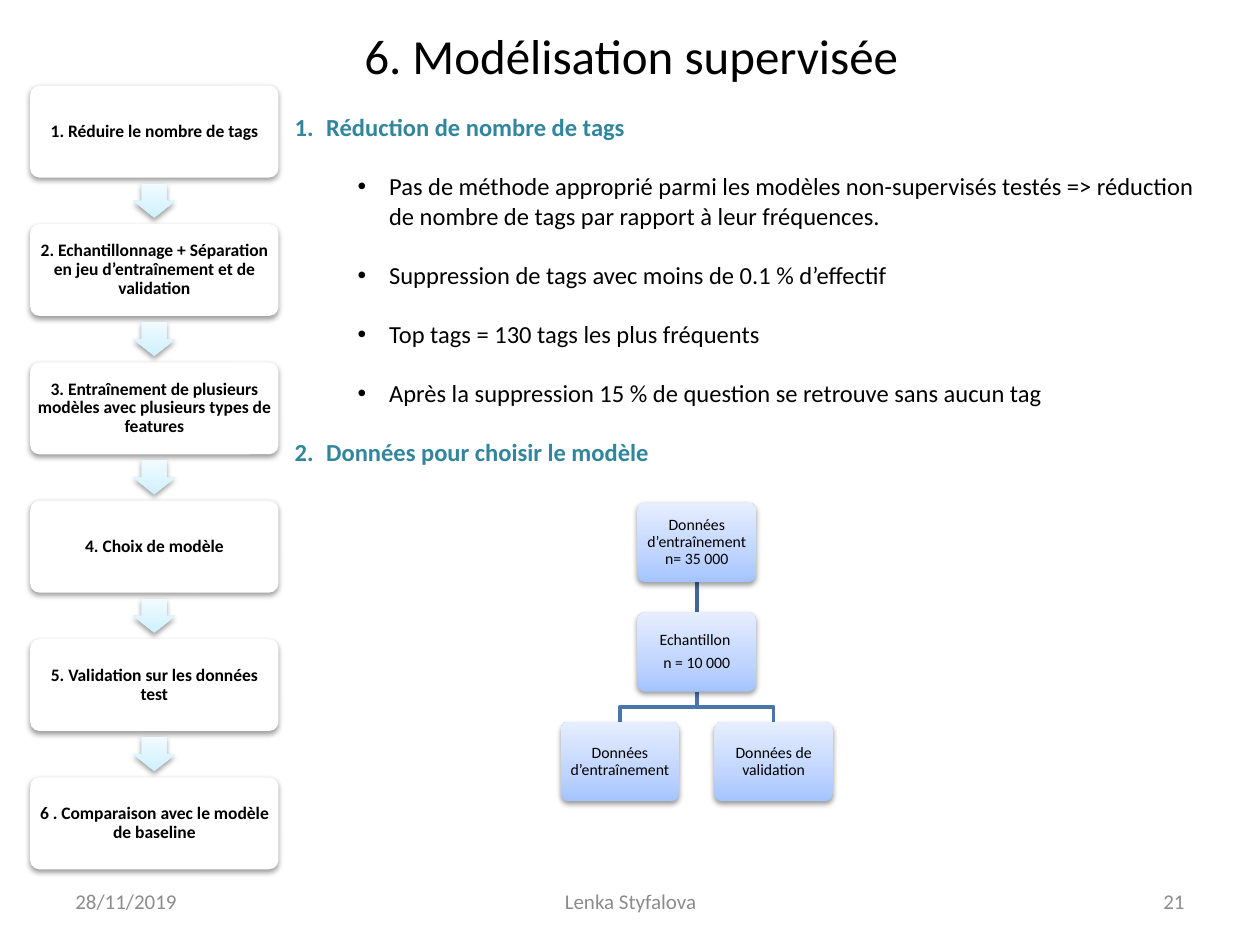
"""Build the supervised modelling slide: process column, bullet list and data tree."""
from copy import deepcopy

from lxml import etree
from pptx import Presentation
from pptx import util as u
from pptx.dml.color import RGBColor
from pptx.enum import shapes, text
from pptx.oxml.ns import qn

BLACK = RGBColor(0x00, 0x00, 0x00)
WHITE = RGBColor(0xFF, 0xFF, 0xFF)
GREY = RGBColor(0x8C, 0x8C, 0x8C)
TEAL = RGBColor(0x31, 0x85, 0x9C)
TRUNK = RGBColor(0x3F, 0x67, 0x97)
BRANCH = RGBColor(0x48, 0x75, 0xAC)
CYANS = RGBColor(0xCE, 0xF0, 0xFF), RGBColor(0xDB, 0xF4, 0xFF), RGBColor(0xF1, 0xFB, 0xFF)
BLUES = RGBColor(0xA4, 0xC4, 0xFF), RGBColor(0xBF, 0xD4, 0xFF), RGBColor(0xE6, 0xEE, 0xFF)

LEFT, CENTER, RIGHT = text.PP_ALIGN.LEFT, text.PP_ALIGN.CENTER, text.PP_ALIGN.RIGHT
MIDDLE, TOP = text.MSO_ANCHOR.MIDDLE, text.MSO_ANCHOR.TOP

STEPS = [
    "1. Réduire le nombre de tags",
    "2. Echantillonnage + Séparation en jeu d’entraînement et de validation",
    "3. Entraînement de plusieurs modèles avec plusieurs types de features",
    "4. Choix de modèle",
    "5. Validation sur les données test",
    "6 . Comparaison avec le modèle de baseline",
]
STEP_X, STEP_Y, STEP_W, STEP_H = 0.24, 0.68, 1.97, 0.73
STEP_PITCH = (6.17 - STEP_Y) / (len(STEPS) - 1)
ARROW_W, ARROW_H = 0.33, 0.27

POINTS = [
    ("Réduction de nombre de tags", 1),
    ("Pas de méthode approprié parmi les modèles non-supervisés testés => réduction "
     "de nombre de tags par rapport à leur fréquences.", None),
    ("Suppression de tags avec moins de 0.1 % d’effectif", None),
    ("Top tags = 130 tags les plus fréquents", None),
    ("Après la suppression 15 % de question se retrouve sans aucun tag", None),
    ("Données pour choisir le modèle", 2),
]

NODES = [
    (0, 0, ["Données d’entraînement n= 35 000"]),
    (0, 1, ["Echantillon ", "n = 10 000"]),
    (-1, 2, ["Données d’entraînement"]),
    (1, 2, ["Données de validation"]),
]
NODE_W, NODE_H = 0.94, 0.63
TREE_X, TREE_Y, TREE_DX, TREE_DY = 5.53, 3.99, 0.61, 0.87


def add_text(tf, value, size, color=BLACK, bold=False, align=LEFT, spacing=1.0, before=0, after=0):
    """Write one formatted paragraph and return it."""
    p = tf.paragraphs[0] if not tf.paragraphs[0].runs else tf.add_paragraph()
    p.alignment, p.line_spacing = align, spacing
    p.space_before, p.space_after = u.Pt(before), u.Pt(after)
    r = p.add_run()
    r.text = value
    r.font.name, r.font.size, r.font.bold = "Calibri", u.Pt(size), bold
    r.font.color.rgb = color
    return p


def add_box(s, x, y, w, h, anchor=MIDDLE):
    """Add a wrapping text box and return its text frame."""
    tf = s.shapes.add_textbox(*map(u.Inches, (x, y, w, h))).text_frame
    tf.word_wrap, tf.vertical_anchor = True, anchor
    return tf


def add_card(s, kind, x, y, w, h, colors, adjustments):
    """Add a borderless shape with a plain or gradient fill and a soft shadow."""
    sp = s.shapes.add_shape(kind, *map(u.Inches, (x, y, w, h)))
    for i, value in enumerate(adjustments):
        sp.adjustments[i] = value
    sp.line.fill.background()
    if len(colors) == 1:
        sp.fill.solid()
        sp.fill.fore_color.rgb = colors[0]
    else:
        sp.fill.gradient()
        sp.fill.gradient_angle = 90
        stops = sp._element.spPr.find(qn("a:gradFill")).find(qn("a:gsLst"))
        stops.insert(1, deepcopy(stops[0]))
        for stop, color, position in zip(sp.fill.gradient_stops, colors, (0, 0.35, 1)):
            stop.color.rgb, stop.position = color, position
    sp.shadow.inherit = False
    shadow = etree.SubElement(sp._element.spPr.find(qn("a:effectLst")), qn("a:outerShdw"),
                              blurRad="40000", dist="20000", dir="5400000", rotWithShape="0")
    color = etree.SubElement(shadow, qn("a:srgbClr"), val="000000")
    etree.SubElement(color, qn("a:alpha"), val="38000")
    return sp


def add_label_card(s, x, y, w, h, colors, lines, size, bold=False):
    """Add a rounded card with centred lines of text."""
    sp = add_card(s, shapes.MSO_SHAPE.ROUNDED_RECTANGLE, x, y, w, h, colors, [0.1])
    tf = sp.text_frame
    tf.word_wrap, tf.vertical_anchor = True, MIDDLE
    tf.margin_left = tf.margin_right = tf.margin_top = tf.margin_bottom = u.Inches(0.04)
    for line in lines:
        add_text(tf, line, size, bold=bold, align=CENTER, spacing=0.9, after=0.35 * size)


def add_process(s):
    """Stack the step cards with a down arrow in each gap."""
    for i, step in enumerate(STEPS):
        y = STEP_Y + i * STEP_PITCH
        add_label_card(s, STEP_X, y, STEP_W, STEP_H, [WHITE], [step], 10, bold=True)
        if i < len(STEPS) - 1:
            gap_middle = y + (STEP_H + STEP_PITCH) / 2
            add_card(s, shapes.MSO_SHAPE.DOWN_ARROW, STEP_X + (STEP_W - ARROW_W) / 2,
                     gap_middle - ARROW_H / 2, ARROW_W, ARROW_H, CYANS, [0.6, 0.5])


def add_points(s):
    """Write the numbered headings and their bulleted details."""
    tf = add_box(s, 2.24, 0.84, 7.4, 2.93, TOP)
    for i, (value, number) in enumerate(POINTS):
        p = add_text(tf, value, 14, TEAL if number else BLACK, bool(number), before=17 if i else 0)
        p.level = 0 if number else 1
        pr = p._p.get_or_add_pPr()
        pr.set("marL", str(u.Inches(0.25 if number else 0.75)))
        pr.set("indent", str(u.Inches(-0.25)))
        etree.SubElement(pr, qn("a:buFont"), typeface="Calibri" if number else "Arial")
        if number:
            etree.SubElement(pr, qn("a:buAutoNum"), type="arabicPeriod", startAt=str(number))
        else:
            etree.SubElement(pr, qn("a:buChar"), char="•")


def add_tree(s):
    """Draw the data tree, links first and nodes on top."""
    tops = [TREE_Y + row * TREE_DY for row in range(3)]
    bottoms = [top + NODE_H for top in tops]
    trunk = s.shapes.add_connector(shapes.MSO_CONNECTOR.STRAIGHT, *map(
        u.Inches, (TREE_X, bottoms[0], TREE_X, tops[1])))
    trunk.line.color.rgb, trunk.line.width = TRUNK, u.Pt(2)
    etree.SubElement(trunk._element.spPr, qn("a:effectLst"))
    bend = (bottoms[1] + tops[2]) / 2
    for side in (-1, 1):
        x = TREE_X + side * TREE_DX
        start, *rest = [(u.Inches(px), u.Inches(py)) for px, py in (
            (TREE_X, bottoms[1]), (TREE_X, bend), (x, bend), (x, tops[2]))]
        builder = s.shapes.build_freeform(*start)
        builder.add_line_segments(rest, close=False)
        sp = builder.convert_to_shape()
        sp.fill.background()
        sp.line.color.rgb, sp.line.width = BRANCH, u.Pt(2)
        sp.shadow.inherit = False
    for column, row, lines in NODES:
        add_label_card(s, TREE_X + column * TREE_DX - NODE_W / 2, tops[row],
                       NODE_W, NODE_H, BLUES, lines, 9)


def main():
    """Assemble and save the slide."""
    prs = Presentation()
    prs.slide_width, prs.slide_height = u.Inches(10), u.Inches(7.5)
    s = prs.slides.add_slide(prs.slide_layouts[6])
    add_text(add_box(s, 0.51, -0.19, 9, 1.25), "6. Modélisation supervisée", 28, align=CENTER)
    for x, w, value, align in ((0.5, 2.33, "28/11/2019", LEFT),
                               (3.42, 3.17, "Lenka Styfalova", CENTER),
                               (7.17, 2.33, "21", RIGHT)):
        add_text(add_box(s, x, 6.95, w, 0.4), value, 12, GREY, align=align)
    add_process(s)
    add_points(s)
    add_tree(s)
    prs.save("out.pptx")


if __name__ == "__main__":
    main()
